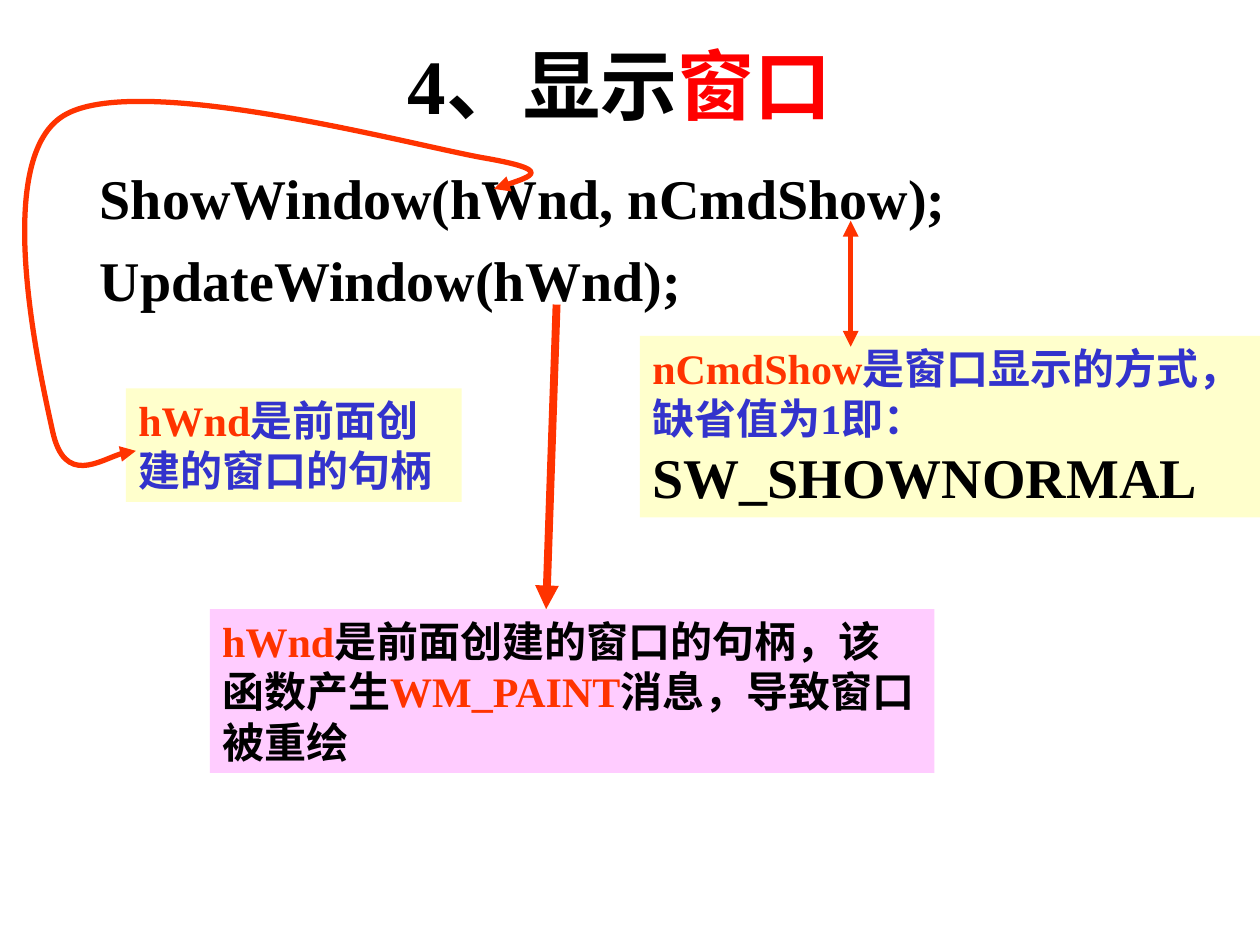
from pptx import Presentation
from pptx import util as u
from pptx.dml import color
from pptx.enum import shapes, text
from pptx.oxml import ns
from lxml import etree

FONT = "Times New Roman"
BLACK, RED, ORANGE, BLUE = "000000", "FF0000", "FF3300", "3333CC"
YELLOW, PINK = "FFFFCC", "FFCCFF"


def rgb(value):
    """Turn a hex string into a colour."""
    return color.RGBColor.from_string(value)


def cm(*lengths):
    """Turn numbers into centimetre lengths."""
    return [u.Cm(length) for length in lengths]


def write(paragraph, runs, size):
    """Fill a paragraph with bold runs of (wording, colour[, size])."""
    paragraph.font.name = FONT
    paragraph.font.bold = True
    paragraph.font.size = u.Pt(size)
    for wording, tint, *own_size in runs:
        run = paragraph.add_run()
        run.text = wording
        run.font.color.rgb = rgb(tint)
        if own_size:
            run.font.size = u.Pt(own_size[0])


def add_title(slide, box):
    """Place the centred heading."""
    frame = slide.shapes.add_textbox(*cm(*box)).text_frame
    frame.word_wrap = True
    frame.vertical_anchor = text.MSO_ANCHOR.MIDDLE
    heading = frame.paragraphs[0]
    heading.alignment = text.PP_ALIGN.CENTER
    write(heading, [("4、显示", BLACK), ("窗口", RED)], 44)


def add_code(slide, box, calls):
    """Place the function calls, one a paragraph."""
    frame = slide.shapes.add_textbox(*cm(*box)).text_frame
    frame.word_wrap = True
    for index, call in enumerate(calls):
        line = frame.add_paragraph() if index else frame.paragraphs[0]
        if index:
            line.space_before = u.Pt(8)
        write(line, [(call, BLACK)], 32)


def add_note(slide, box, fill, runs):
    """Place a filled explanation box."""
    note = slide.shapes.add_shape(shapes.MSO_SHAPE.RECTANGLE, *cm(*box))
    note.shadow.inherit = False
    note.fill.solid()
    note.fill.fore_color.rgb = rgb(fill)
    note.line.fill.background()
    frame = note.text_frame
    frame.word_wrap = True
    frame.auto_size = text.MSO_AUTO_SIZE.SHAPE_TO_FIT_TEXT
    frame.vertical_anchor = text.MSO_ANCHOR.TOP
    frame.paragraphs[0].alignment = text.PP_ALIGN.LEFT
    write(frame.paragraphs[0], runs, 24)


def style_arrow(arrow, width, ends):
    """Colour a line and give it triangle ends without a shadow."""
    arrow.line.color.rgb = rgb(ORANGE)
    arrow.line.width = u.Pt(width)
    properties = arrow._element.spPr
    outline = properties.find(ns.qn("a:ln"))
    for end in ends:
        etree.SubElement(outline, ns.qn(f"a:{end}"), type="triangle")
    etree.SubElement(properties, ns.qn("a:effectLst"))


def add_arrow(slide, points, width, ends):
    """Draw a straight arrow."""
    arrow = slide.shapes.add_connector(shapes.MSO_CONNECTOR.STRAIGHT, *cm(*points))
    style_arrow(arrow, width, ends)


def add_curve(slide, corner, start, controls, width, ends):
    """Draw a Bezier arrow from points relative to its corner."""
    builder = slide.shapes.build_freeform(*cm(*start))
    builder.add_line_segments([cm(*point) for point in controls], close=False)
    curve = builder.convert_to_shape(*cm(*corner))
    curve.fill.background()
    segments = list(curve._element.iter(ns.qn("a:lnTo")))
    for first in range(0, len(segments), 3):
        bezier = etree.Element(ns.qn("a:cubicBezTo"))
        segments[first].addprevious(bezier)
        for segment in segments[first:first + 3]:
            bezier.append(segment[0])
            segment.getparent().remove(segment)
    style_arrow(curve, width, ends)


def main():
    """Build the slide about showing a window."""
    deck = Presentation()
    deck.slide_width, deck.slide_height = cm(25.4, 19.05)
    slide = deck.slides.add_slide(deck.slide_layouts[6])
    both, tail = ("headEnd", "tailEnd"), ("tailEnd",)

    add_title(slide, (1.7, 0.64, 21.59, 2.11))
    add_code(slide, (1.48, 3.18, 22.86, 15.24),
             [" ShowWindow(hWnd, nCmdShow);", " UpdateWindow(hWnd);"])
    add_note(slide, (2.54, 7.83, 6.77, 2.29), YELLOW,
             [("hWnd", ORANGE), ("是前面创建的窗口的句柄", BLUE)])
    add_note(slide, (12.9, 6.77, 12.5, 3.66), YELLOW,
             [("nCmdShow", ORANGE), ("是窗口显示的方式，缺省值为1即：", BLUE),
              ("SW_SHOWNORMAL", BLACK, 32)])
    add_curve(slide, (-0.18, 1.42), (10.14, 2.39),
              [(10.75, 2.19), (11.36, 2.01), (9.91, 1.76),
               (8.46, 1.5), (2.9, 0), (1.45, 0.92),
               (0, 1.83), (0.99, 6.12), (1.24, 7.27),
               (1.48, 8.38), (2.64, 7.62), (2.92, 7.67)], 3, both)
    add_arrow(slide, (17.15, 6.99, 17.15, 4.45), 3, both)
    add_arrow(slide, (11.22, 6.14, 11.01, 12.28), 4.5, tail)
    add_note(slide, (4.23, 12.28, 14.61, 3.3), PINK,
             [("hWnd", ORANGE), ("是前面创建的窗口的句柄，该函数产生", BLACK),
              ("WM_PAINT", ORANGE), ("消息，导致窗口被重绘", BLACK)])
    deck.save("out.pptx")


if __name__ == "__main__":
    main()
